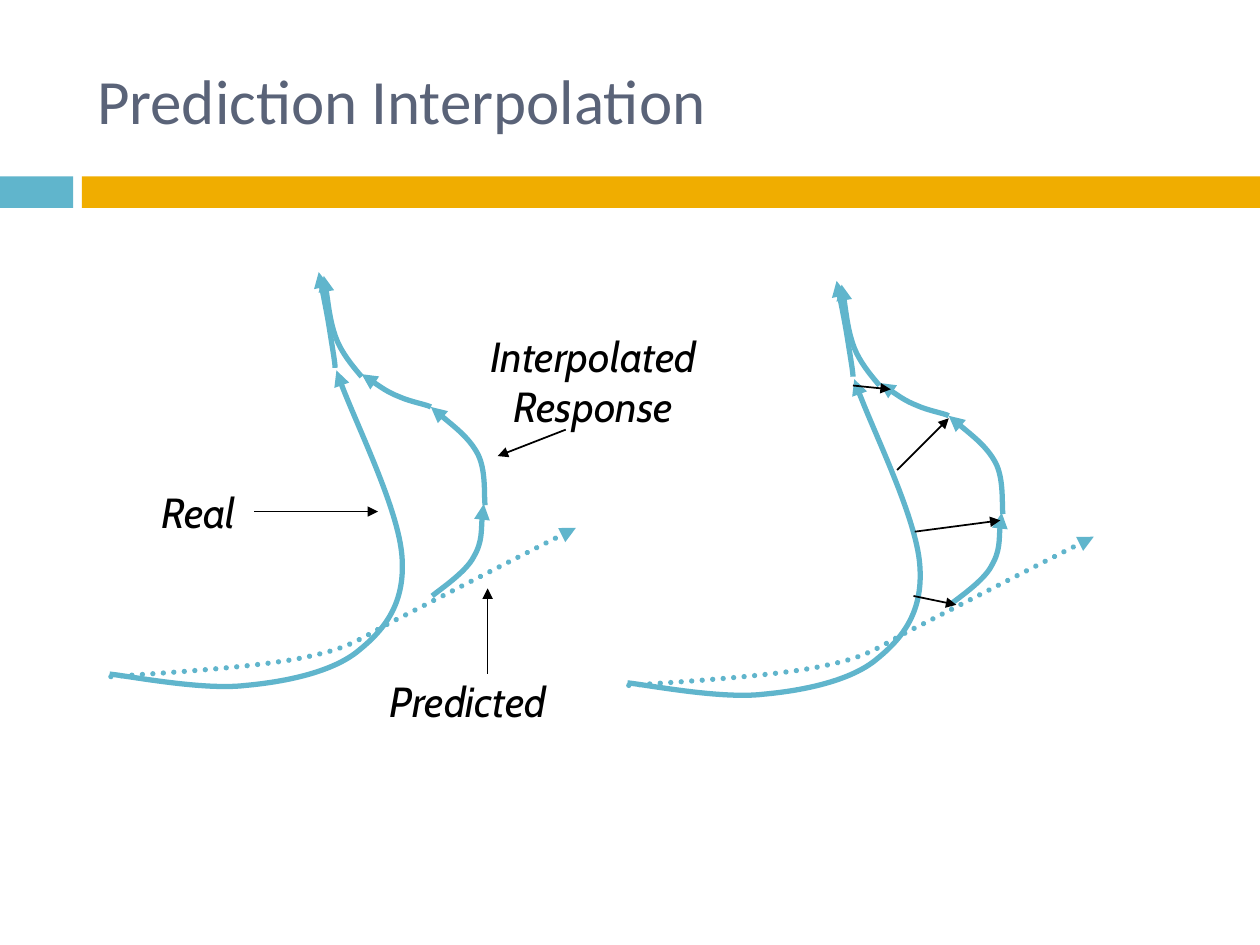
from dataclasses import dataclass

from lxml import etree
from pptx import Presentation
from pptx.dml.color import RGBColor
from pptx.enum.dml import MSO_LINE
from pptx.enum.shapes import MSO_CONNECTOR, MSO_SHAPE
from pptx.enum.text import MSO_ANCHOR, MSO_AUTO_SIZE, PP_ALIGN
from pptx.oxml.ns import qn
from pptx.util import Inches, Pt

STRAIGHT = MSO_CONNECTOR.STRAIGHT
RECTANGLE = MSO_SHAPE.RECTANGLE
ROUND_DOT = MSO_LINE.ROUND_DOT
MIDDLE = MSO_ANCHOR.MIDDLE
FIT_SHAPE = MSO_AUTO_SIZE.SHAPE_TO_FIT_TEXT
NO_FIT = MSO_AUTO_SIZE.NONE
LEFT = PP_ALIGN.LEFT
CENTER = PP_ALIGN.CENTER
RIGHT_SIDE = 3

COLORS = {"teal": "60B5CC", "gold": "F0AD00", "title": "5A6378", "black": "000000"}

Point = tuple[float, float]


@dataclass
class Bar:
    left: float
    width: float
    color: str


@dataclass
class Curve:
    points: list[Point]
    dotted: bool = False


@dataclass
class Arrow:
    tip: Point
    origin: Point


@dataclass
class Label:
    lines: list[str]
    left: float
    top: float
    width: float
    height: float


BARS = [Bar(0, 0.58, "teal"), Bar(0.65, 9.35, "gold")]

CURVES = [
    Curve([(0.87, 5.35), (1.05, 5.37), (1.62, 5.48), (1.95, 5.44), (2.28, 5.41),
           (2.65, 5.33), (2.85, 5.16), (3.06, 4.99), (3.22, 4.78), (3.19, 4.41),
           (3.16, 4.04), (2.77, 3.25), (2.67, 2.94)]),
    Curve([(0.88, 5.37), (1.14, 5.35), (2.06, 5.3), (2.45, 5.21), (2.83, 5.13),
           (2.87, 5.05), (3.22, 4.88), (3.57, 4.7), (4.29, 4.33), (4.57, 4.19)], True),
    Curve([(3.43, 4.73), (3.49, 4.68), (3.7, 4.54), (3.76, 4.42),
           (3.83, 4.3), (3.82, 4.09), (3.84, 4)]),
    Curve([(2.66, 2.92), (2.66, 2.88), (2.64, 2.77), (2.62, 2.64),
           (2.6, 2.51), (2.55, 2.26), (2.53, 2.16)]),
    Curve([(3.42, 3.23), (3.38, 3.21), (3.26, 3.19), (3.17, 3.15),
           (3.07, 3.11), (2.93, 3.01), (2.87, 2.97)]),
    Curve([(2.87, 2.99), (2.83, 2.94), (2.72, 2.82), (2.67, 2.69),
           (2.62, 2.56), (2.59, 2.29), (2.57, 2.19)]),
    Curve([(3.85, 4.01), (3.84, 3.94), (3.86, 3.73), (3.79, 3.6),
           (3.72, 3.47), (3.5, 3.3), (3.42, 3.23)]),
]
RIGHT_OFFSET = (4.11, 0.07)

MATCHING_ARROWS = [
    Arrow((7.59, 4.8), (7.25, 4.73)),
    Arrow((7.94, 4.13), (7.26, 4.22)),
    Arrow((7.53, 3.32), (7.12, 3.73)),
    Arrow((7.07, 3.09), (6.77, 3.06)),
]

REAL = Label(["Real"], 1.13, 3.81, 0.89, 0.5)
INTERPOLATED = Label(["Interpolated", "Response"], 3.73, 2.57, 1.96, 0.9)
PREDICTED = Label(["Predicted"], 2.91, 5.31, 1.61, 0.5)

REAL_ARROW = Arrow((3, 4.06), (2.02, 4.06))
LABEL_ARROWS = [Arrow((3.87, 4.67), (3.87, 5.35)), Arrow((3.95, 3.62), (4.49, 3.41))]


def rgb(name: str) -> RGBColor:
    return RGBColor.from_string(COLORS[name])


def style_line(shape, color: str, width: float, arrow_end: str) -> None:
    shape.line.color.rgb = rgb(color)
    shape.line.width = Pt(width)
    line = shape.line._get_or_add_ln()
    etree.SubElement(line, qn(f"a:{arrow_end}"), type="triangle")


def add_run(paragraph, text: str, font_name: str, size: float, color: str):
    run = paragraph.add_run()
    run.text = text
    run.font.name = font_name
    run.font.size = Pt(size)
    run.font.color.rgb = rgb(color)
    return run


def draw_bar(shapes, bar: Bar) -> None:
    shape = shapes.add_shape(RECTANGLE, Inches(bar.left), Inches(1.4),
                             Inches(bar.width), Inches(0.25))
    shape.shadow.inherit = False
    shape.fill.solid()
    shape.fill.fore_color.rgb = rgb(bar.color)
    shape.line.fill.background()


def draw_curve(shapes, curve: Curve, offset: Point) -> None:
    start, *others = [(Inches(x + offset[0]), Inches(y + offset[1])) for x, y in curve.points]
    builder = shapes.build_freeform(*start)
    builder.add_line_segments(others, close=False)
    shape = builder.convert_to_shape()
    shape.shadow.inherit = False
    shape.fill.background()

    segments = list(shape._element.iter(qn("a:lnTo")))
    for first in range(0, len(segments), 3):
        bezier = etree.Element(qn("a:cubicBezTo"))
        segments[first].addprevious(bezier)
        for segment in segments[first:first + 3]:
            bezier.append(segment[0])
            segment.getparent().remove(segment)

    if curve.dotted:
        shape.line.dash_style = ROUND_DOT
        shape.line._get_or_add_ln().set("cap", "rnd")
    style_line(shape, "teal", 3, "tailEnd")


def draw_curves(slide, offset: Point):
    group = slide.shapes.add_group_shape()
    for curve in CURVES:
        draw_curve(group.shapes, curve, offset)
    return group


def draw_arrow(shapes, arrow: Arrow):
    connector = shapes.add_connector(STRAIGHT, *map(Inches, arrow.tip + arrow.origin))
    style_line(connector, "black", 1, "headEnd")
    etree.SubElement(connector._element.spPr, qn("a:effectLst"))
    return connector


def draw_label(shapes, label: Label):
    box = shapes.add_textbox(Inches(label.left), Inches(label.top),
                             Inches(label.width), Inches(label.height))
    frame = box.text_frame
    frame.word_wrap = False
    frame.auto_size = FIT_SHAPE
    frame.vertical_anchor = MIDDLE
    for index, text in enumerate(label.lines):
        paragraph = frame.add_paragraph() if index else frame.paragraphs[0]
        paragraph.alignment = CENTER
        add_run(paragraph, text, "Cabin", 24, "black").font.italic = True
    return box


def draw_title(slide, text: str) -> None:
    title = slide.shapes.title
    title.left, title.top = Inches(0.67), Inches(0.25)
    title.width, title.height = Inches(8.92), Inches(1.08)
    title.text_frame.auto_size = NO_FIT
    title.text_frame.vertical_anchor = MIDDLE
    paragraph = title.text_frame.paragraphs[0]
    paragraph.alignment = LEFT
    add_run(paragraph, text, "Calibri", 36, "title")


def main() -> None:
    presentation = Presentation()
    presentation.slide_width = Inches(10)
    presentation.slide_height = Inches(7.5)
    slide = presentation.slides.add_slide(presentation.slide_layouts[5])

    for bar in BARS:
        draw_bar(slide.shapes, bar)
    draw_title(slide, "Prediction Interpolation")

    matched_group = draw_curves(slide, RIGHT_OFFSET)
    for arrow in MATCHING_ARROWS:
        draw_arrow(matched_group.shapes, arrow)
    draw_curves(slide, (0, 0))

    real_box = draw_label(slide.shapes, REAL)
    for label in (INTERPOLATED, PREDICTED):
        draw_label(slide.shapes, label)
    draw_arrow(slide.shapes, REAL_ARROW).end_connect(real_box, RIGHT_SIDE)
    for arrow in LABEL_ARROWS:
        draw_arrow(slide.shapes, arrow)

    presentation.save("out.pptx")


if __name__ == "__main__":
    main()
